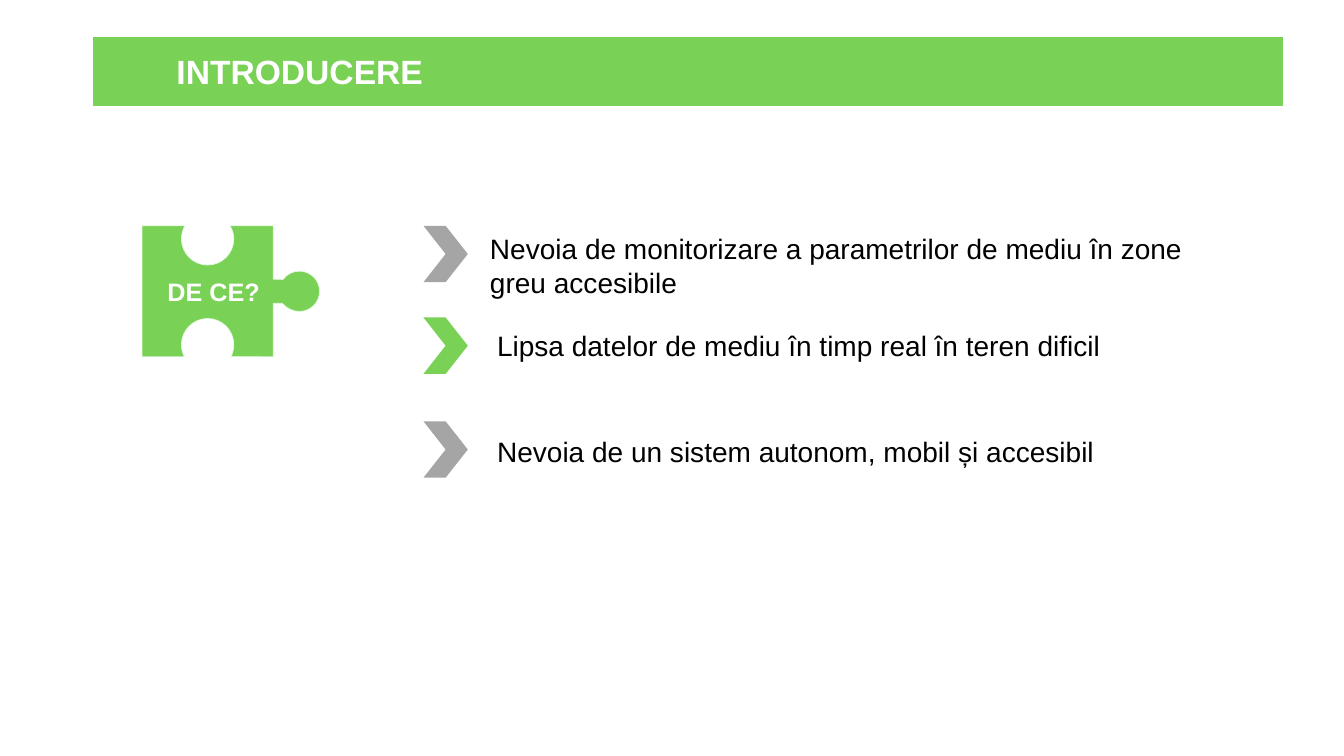
from collections import namedtuple
from itertools import pairwise
from math import cos, radians, sin, tan

from lxml.etree import SubElement
from pptx import Presentation
from pptx.dml.color import RGBColor
from pptx.enum.shapes import MSO_SHAPE as Preset
from pptx.enum.text import MSO_ANCHOR as Anchor, MSO_AUTO_SIZE as AutoSize, PP_ALIGN as Align
from pptx.oxml.ns import qn
from pptx.util import Inches, Pt

GREEN = RGBColor(0x79, 0xD1, 0x55)
PALE_GREEN = RGBColor(0xE5, 0xFA, 0xE1)
GREY = RGBColor(0xA5, 0xA5, 0xA5)
WHITE = RGBColor(0xFF, 0xFF, 0xFF)
BLACK = RGBColor(0, 0, 0)

# The slide is a grid of 1333 columns and 750 rows
COLUMNS, ROWS = 1333, 750
CELL = Inches(0.01)

Box = namedtuple("Box", "left top width height")
# Reason: text, arrow colour, arrow row, then column, row, width and height of the text
Reason = namedtuple("Reason", "text colour arrow_row column row width height")
REASONS = [
    Reason("Nevoia de monitorizare a parametrilor de mediu în zone greu accesibile",
           GREY, 0, 56, 1, 752, 77),
    Reason("Lipsa datelor de mediu în timp real în teren dificil",
           GREEN, 91, 63, 97, 641, 44),
    Reason("Nevoia de un sistem autonom, mobil și accesibil",
           GREY, 194, 63, 202, 625, 44),
]


def inside(box, column, row, width, height):
    return Box(box.left + column, box.top + row, width, height)


def place(shape, box):
    shape.left, shape.top, shape.width, shape.height = (CELL * cells for cells in box)


def write(slide, placeholder, text, box, size=20, colour=BLACK, bold=False):
    """Fill a placeholder and bring it in front of the shapes drawn so far."""
    slide.shapes.element.append(placeholder.element)
    place(placeholder, box)
    frame = placeholder.text_frame
    frame.text = text
    frame.word_wrap = True
    frame.auto_size = AutoSize.SHAPE_TO_FIT_TEXT
    frame.vertical_anchor = Anchor.TOP
    paragraph = frame.paragraphs[0]
    paragraph.alignment = Align.LEFT
    paragraph.space_before = Pt(0)
    properties = paragraph._p.get_or_add_pPr()
    properties.set("marL", "0")
    properties.set("indent", "0")
    SubElement(properties, qn("a:buNone"))
    font = paragraph.runs[0].font
    font.name, font.size, font.bold = "Arial", Pt(size), bold
    font.color.rgb = colour


def paint(shape, fill, line=None, line_width=1):
    shape.shadow.inherit = False
    shape.fill.solid()
    shape.fill.fore_color.rgb = fill
    if line is None:
        shape.line.fill.background()
    else:
        shape.line.color.rgb = line
        shape.line.width = Pt(line_width)


def draw(slide, preset, box, fill, line=None):
    shape = slide.shapes.add_shape(preset, *(CELL * cells for cells in box))
    paint(shape, fill, line)


def arc(x, y, radius, *angles):
    """Return one cubic curve (two handles and an end) for each pair of angles."""
    curves = []
    for start, end in pairwise(map(radians, angles)):
        reach = 4 / 3 * tan((end - start) / 4)
        handles_and_end = [
            (cos(start) - reach * sin(start), sin(start) + reach * cos(start)),
            (cos(end) + reach * sin(end), sin(end) - reach * cos(end)),
            (cos(end), sin(end)),
        ]
        curves.append([(x + radius * u, y + radius * v) for u, v in handles_and_end])
    return curves


def draw_outline(slide, box, start, steps):
    """Draw a closed outline; a step is one point for a line or three for a curve."""
    def on_slide(point):
        return round((box.left + point[0]) * CELL), round((box.top + point[1]) * CELL)

    builder = slide.shapes.build_freeform(*on_slide(start))
    builder.add_line_segments([on_slide(point) for step in steps for point in step])
    shape = builder.convert_to_shape()
    # Join the three points of each curve
    segments = iter(list(shape.element.iter(qn("a:lnTo"))))
    for step in steps:
        parts = [next(segments) for _ in step]
        if len(parts) == 3:
            curve = parts[0].makeelement(qn("a:cubicBezTo"))
            parts[0].addprevious(curve)
            for part in parts:
                curve.append(part[0])
                part.getparent().remove(part)
    return shape


def title_bar(slide, box):
    draw(slide, Preset.RECTANGLE, box, GREEN, line=GREEN)
    write(slide, slide.shapes.title, "INTRODUCERE", inside(box, 72, 8, 289, 50),
          size=24, colour=WHITE, bold=True)


def puzzle_piece(slide, box, heading):
    side = box.height
    middle = side / 2
    # Notches above and below, knob on the right
    steps = [
        [(middle + 22, 0)], *arc(middle, 13, 26, -30, 0, 90, 180, 210),
        [(0, 0)], [(0, side)],
        [(middle - 23, side)], *arc(middle, side - 12, 26, 153, 180, 270, 360, 387),
        [(side, side)], [(side, middle + 12)],
        [(box.width - 37, middle + 12)],
        *arc(box.width - 20, middle, 20, 144, 90, 0, -90, -144),
        [(side, middle - 12)],
    ]
    piece = draw_outline(slide, box, (side, 0), steps)
    paint(piece, GREEN, line=PALE_GREEN, line_width=0.5)
    write(slide, heading, "DE CE?", inside(box, 15, 45, 116, 40),
          size=18, colour=WHITE, bold=True)


def reason_list(slide, box, bodies):
    for reason, body in zip(REASONS, bodies):
        draw(slide, Preset.CHEVRON, inside(box, 0, reason.arrow_row, 44, 56), reason.colour)
        write(slide, body, reason.text,
              inside(box, reason.column, reason.row, reason.width, reason.height))


def main():
    presentation = Presentation()
    presentation.slide_width, presentation.slide_height = CELL * COLUMNS, CELL * ROWS
    # The comparison layout holds a title and four bodies
    slide = presentation.slides.add_slide(presentation.slide_layouts[4])
    _, heading, *bodies = list(slide.placeholders)
    title_bar(slide, Box(93, 37, 1179, 68))
    puzzle_piece(slide, Box(141, 224, 176, 130), heading)
    reason_list(slide, Box(420, 224, 808, 250), bodies)
    presentation.save("out.pptx")


if __name__ == "__main__":
    main()
